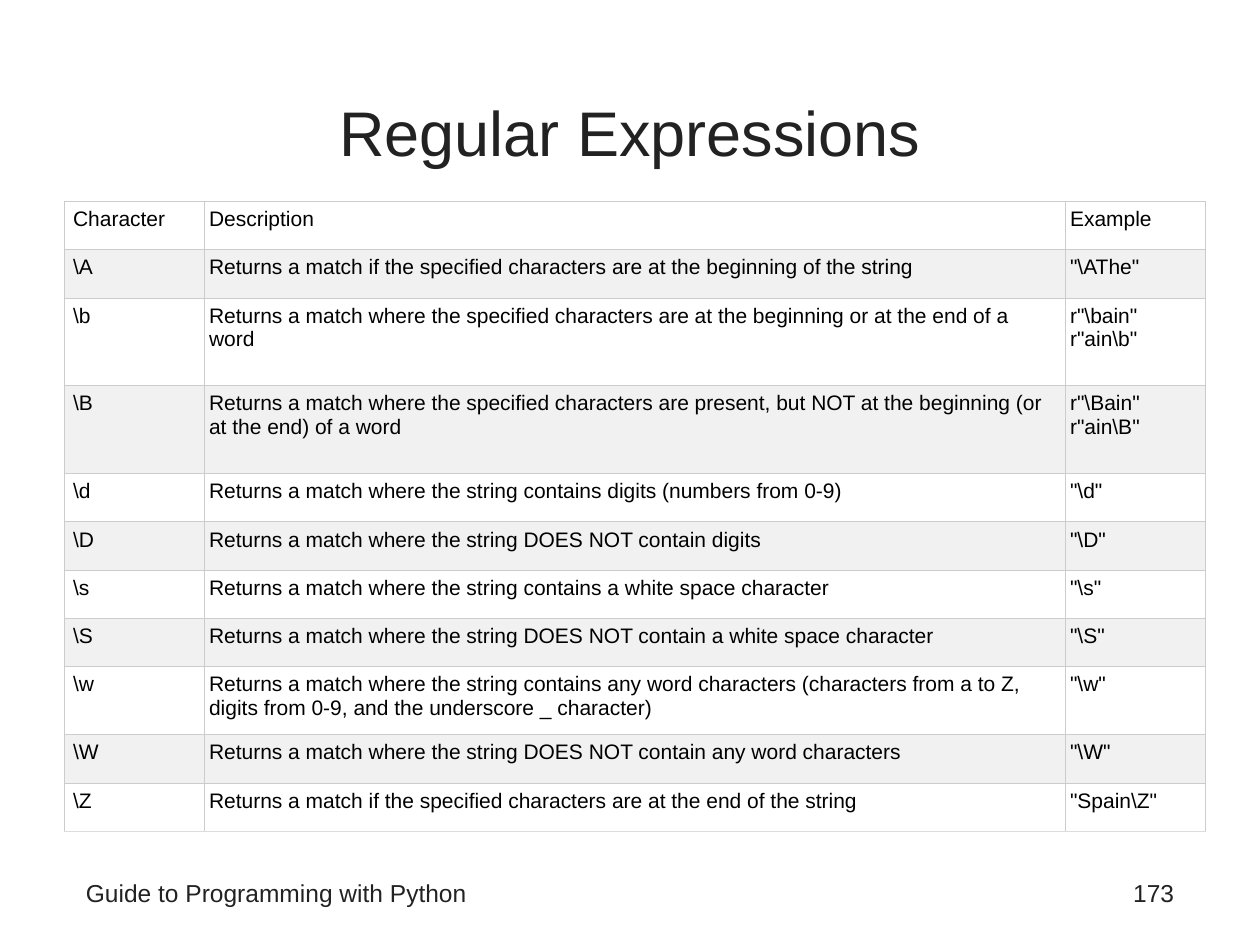
from copy import deepcopy

from lxml.etree import SubElement
from pptx import Presentation
from pptx.dml.color import RGBColor
from pptx.enum.text import MSO_ANCHOR as Anchor, PP_ALIGN as Align
from pptx.oxml.ns import qn
from pptx.util import Pt

INK = "222222"
GRID = "CCCCCC"
COLUMN_WIDTHS = [80, 492, 80.2]
ROW_HEIGHT = 27.6
TALL_ROWS = {2: 50.2, 3: 50.2, 8: 38.9}
ROWS = [
    ("Character", "Description", "Example"),
    (r"\A", "Returns a match if the specified characters are at the beginning of the string", r'"\AThe"'),
    (r"\b", "Returns a match where the specified characters are at the beginning or at the end of a word",
     'r"\\bain"\nr"ain\\b"'),
    (r"\B", "Returns a match where the specified characters are present, but NOT at the beginning "
     "(or at the end) of a word", 'r"\\Bain"\nr"ain\\B"'),
    (r"\d", "Returns a match where the string contains digits (numbers from 0-9)", r'"\d"'),
    (r"\D", "Returns a match where the string DOES NOT contain digits", r'"\D"'),
    (r"\s", "Returns a match where the string contains a white space character", r'"\s"'),
    (r"\S", "Returns a match where the string DOES NOT contain a white space character", r'"\S"'),
    (r"\w", "Returns a match where the string contains any word characters (characters from a to Z, "
     "digits from 0-9, and the underscore _ character)", r'"\w"'),
    (r"\W", "Returns a match where the string DOES NOT contain any word characters", r'"\W"'),
    (r"\Z", "Returns a match if the specified characters are at the end of the string", r'"Spain\Z"'),
]


def color(value):
    return RGBColor.from_string(value)


def write(frame, text, size, ink=INK, align=Align.LEFT, anchor=Anchor.TOP, margins=(7.2, 3.6, 7.2, 3.6)):
    frame.word_wrap = True
    frame.vertical_anchor = anchor
    frame.margin_left, frame.margin_top, frame.margin_right, frame.margin_bottom = map(Pt, margins)
    style_paragraph(frame.paragraphs[0], text, size, ink, align)


def style_paragraph(paragraph, text, size, ink, align=Align.LEFT):
    paragraph.text = text
    paragraph.alignment = align
    for run in paragraph.runs:
        run.font.name = "Arial"
        run.font.size = Pt(size)
        run.font.color.rgb = color(ink)
    for line_break in paragraph._p.findall(qn("a:br")):
        line_break.insert(0, deepcopy(paragraph.runs[0]._r.rPr))


def add_title(slide, left, top, width, height):
    title = slide.shapes.title
    title.left, title.top, title.width, title.height = map(Pt, (left, top, width, height))
    write(title.text_frame, "Regular Expressions", 36, align=Align.CENTER, anchor=Anchor.MIDDLE)


def border_cell(cell, bottom):
    properties = cell._tc.get_or_add_tcPr()
    for side, tint in (("L", GRID), ("R", GRID), ("T", GRID), ("B", bottom)):
        line = SubElement(properties, qn(f"a:ln{side}"), w=str(Pt(0.28)))
        fill = SubElement(line, qn("a:solidFill"))
        SubElement(fill, qn("a:srgbClr"), val=tint)


def add_character_table(slide, left, top):
    heights = [TALL_ROWS.get(index, ROW_HEIGHT) for index in range(len(ROWS))]
    table = slide.shapes.add_table(
        len(ROWS), len(COLUMN_WIDTHS), Pt(left), Pt(top), Pt(sum(COLUMN_WIDTHS)), Pt(sum(heights))).table
    table.first_row = table.horz_banding = False
    for column, width in zip(table.columns, COLUMN_WIDTHS):
        column.width = Pt(width)
    for row_index, (row, height, texts) in enumerate(zip(table.rows, heights, ROWS)):
        row.height = Pt(height)
        for column_index, (cell, text) in enumerate(zip(row.cells, texts)):
            border_cell(cell, "DDDDDD" if row_index == len(ROWS) - 1 else GRID)
            cell.fill.solid()
            cell.fill.fore_color.rgb = color("F1F1F1" if row_index % 2 else "FFFFFF")
            cell.margin_left = Pt(2.7 if column_index else 5)
            cell.margin_right = Pt(2.7)
            cell.margin_top = cell.margin_bottom = Pt(3.6)
            style_paragraph(cell.text_frame.paragraphs[0], text, 12, "000000")


def add_footer(slide, left, top, width, height):
    number_width = 162
    parts = [
        ("Guide to Programming with Python", left, 462, Align.LEFT),
        ("173", left + width - number_width, number_width, Align.RIGHT),
    ]
    for text, part_left, part_width, align in parts:
        part = slide.shapes.add_textbox(Pt(part_left), Pt(top), Pt(part_width), Pt(height))
        write(part.text_frame, text, 14, align=align)


def main():
    deck = Presentation()
    deck.slide_width, deck.slide_height = Pt(720), Pt(540)
    slide = deck.slides.add_slide(deck.slide_layouts[5])
    add_title(slide, 42, 30, 636, 90)
    add_character_table(slide, 36.8, 115)
    add_footer(slide, 42, 498, 636, 30)
    deck.save("out.pptx")


if __name__ == "__main__":
    main()
